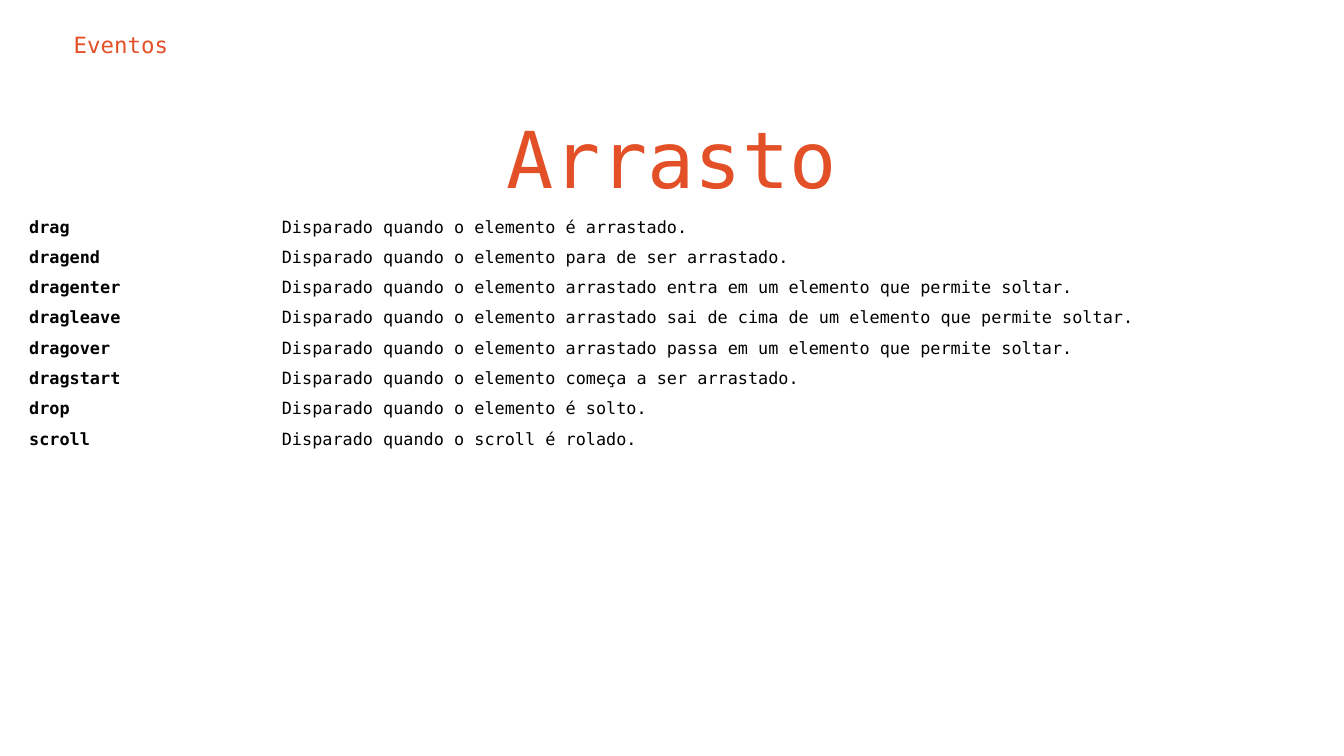
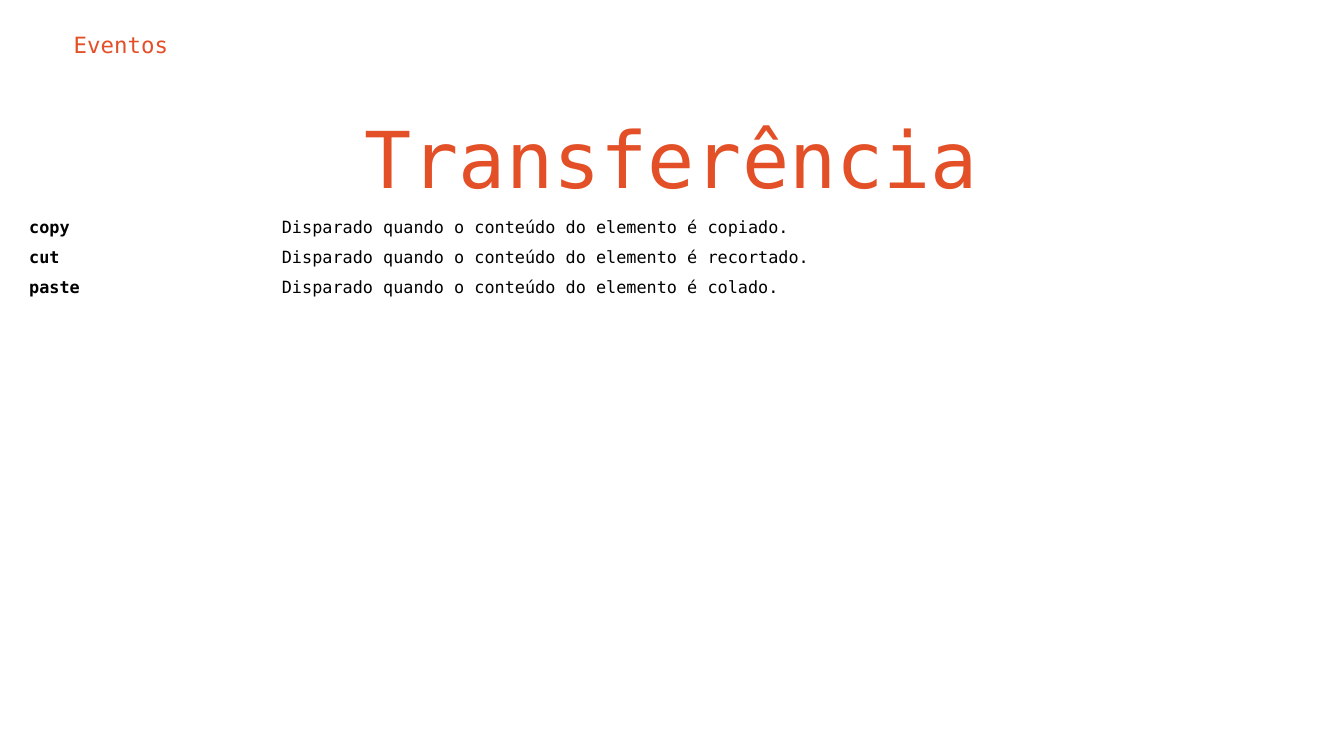
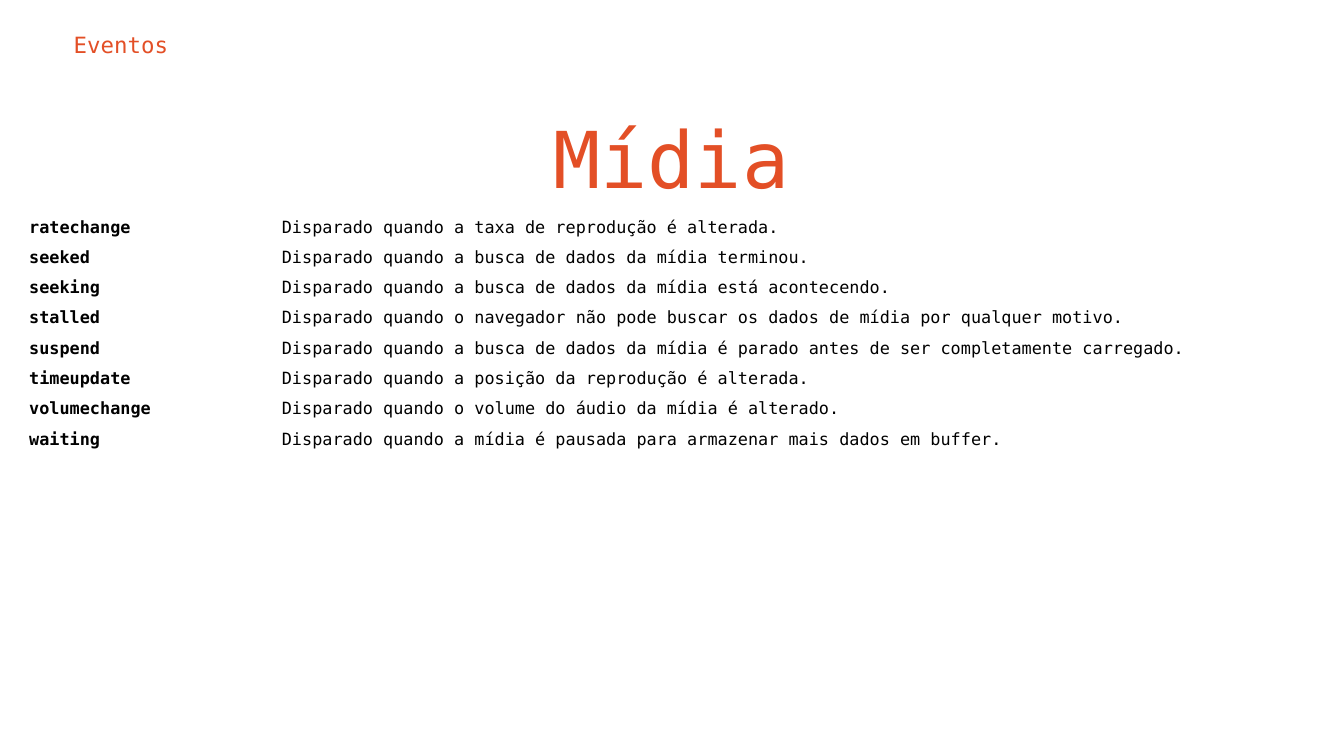
"""Builds three slides that list web events by group."""
import dataclasses
import typing

import pptx
import pptx.dml.color
import pptx.enum.text
import pptx.util

Inches = pptx.util.Inches
Align = pptx.enum.text.PP_ALIGN

FONT = "DejaVu Sans Mono"
ORANGE = "E34F26"
BLACK = "000000"
WIDTH = Inches(10)
HEIGHT = WIDTH * 9 // 16
COLS = (1.88, 7.64)
ROW = 0.2
INSET = Inches(0.1)
PAD = Inches(0.15) // 4


class Event(typing.NamedTuple):
    """An event name and when it fires."""
    name: str
    text: str


@dataclasses.dataclass(frozen=True)
class Label:
    """Place and style of a text box."""
    left: float
    top: float
    width: float
    height: float
    size: int
    align: Align


@dataclasses.dataclass(frozen=True)
class Group:
    """A titled list of events."""
    title: str
    events: tuple[Event, ...]


HEADER = Label(0.45, 0.13, 9.18, 0.42, 12, Align.LEFT)
TITLE = Label(0.71, 0.72, 8.57, 0.86, 42, Align.CENTER)

GROUPS = (
    Group("Arrasto", (
        Event("drag", "Disparado quando o elemento é arrastado."),
        Event("dragend", "Disparado quando o elemento para de ser arrastado."),
        Event("dragenter", "Disparado quando o elemento arrastado entra em um elemento que permite soltar."),
        Event("dragleave", "Disparado quando o elemento arrastado sai de cima de um elemento que permite soltar."),
        Event("dragover", "Disparado quando o elemento arrastado passa em um elemento que permite soltar."),
        Event("dragstart", "Disparado quando o elemento começa a ser arrastado."),
        Event("drop", "Disparado quando o elemento é solto."),
        Event("scroll", "Disparado quando o scroll é rolado."),
    )),
    Group("Transferência", (
        Event("copy", "Disparado quando o conteúdo do elemento é copiado."),
        Event("cut", "Disparado quando o conteúdo do elemento é recortado."),
        Event("paste", "Disparado quando o conteúdo do elemento é colado."),
    )),
    Group("Mídia", (
        Event("ratechange", "Disparado quando a taxa de reprodução é alterada."),
        Event("seeked", "Disparado quando a busca de dados da mídia terminou."),
        Event("seeking", "Disparado quando a busca de dados da mídia está acontecendo."),
        Event("stalled", "Disparado quando o navegador não pode buscar os dados de mídia por qualquer motivo."),
        Event("suspend", "Disparado quando a busca de dados da mídia é parado antes de ser completamente carregado."),
        Event("timeupdate", "Disparado quando a posição da reprodução é alterada."),
        Event("volumechange", "Disparado quando o volume do áudio da mídia é alterado."),
        Event("waiting", "Disparado quando a mídia é pausada para armazenar mais dados em buffer."),
    )),
)


def color(code: str) -> pptx.dml.color.RGBColor:
    """Turn a hex string into a colour."""
    return pptx.dml.color.RGBColor.from_string(code)


def write(para, text: str, size: int, code: str, bold: bool = False) -> None:
    """Add one styled run to a paragraph."""
    run = para.add_run()
    run.text = text
    run.font.name = FONT
    run.font.size = pptx.util.Pt(size)
    run.font.bold = bold
    run.font.color.rgb = color(code)


def pad(box, size: int) -> None:
    """Set the four margins of a text frame or a cell."""
    box.margin_left = box.margin_right = size
    box.margin_top = box.margin_bottom = size


def label(slide, text: str, style: Label) -> None:
    """Draw an orange text box."""
    place = (style.left, style.top, style.width, style.height)
    frame = slide.shapes.add_textbox(*map(Inches, place)).text_frame
    frame.word_wrap = True
    pad(frame, INSET)
    para = frame.paragraphs[0]
    para.alignment = style.align
    write(para, text, style.size, ORANGE)


def table(slide, events: tuple[Event, ...]) -> None:
    """Draw the plain table of events."""
    count = len(events)
    place = map(Inches, (0.18, 1.58, sum(COLS), ROW * count))
    grid = slide.shapes.add_table(count, len(COLS), *place).table
    grid.first_row = grid.horz_banding = False
    for col, width in zip(grid.columns, COLS):
        col.width = Inches(width)
    for row, event in zip(grid.rows, events):
        row.height = Inches(ROW)
        for index, (cell, text) in enumerate(zip(row.cells, event)):
            cell.fill.background()
            pad(cell, PAD)
            write(cell.text_frame.paragraphs[0], text, 9, BLACK, index == 0)


def main() -> None:
    """Build and save the slides."""
    deck = pptx.Presentation()
    deck.slide_width = WIDTH
    deck.slide_height = HEIGHT
    for group in GROUPS:
        slide = deck.slides.add_slide(deck.slide_layouts[6])
        label(slide, "Eventos", HEADER)
        label(slide, group.title, TITLE)
        table(slide, group.events)
    deck.save("out.pptx")


if __name__ == "__main__":
    main()
